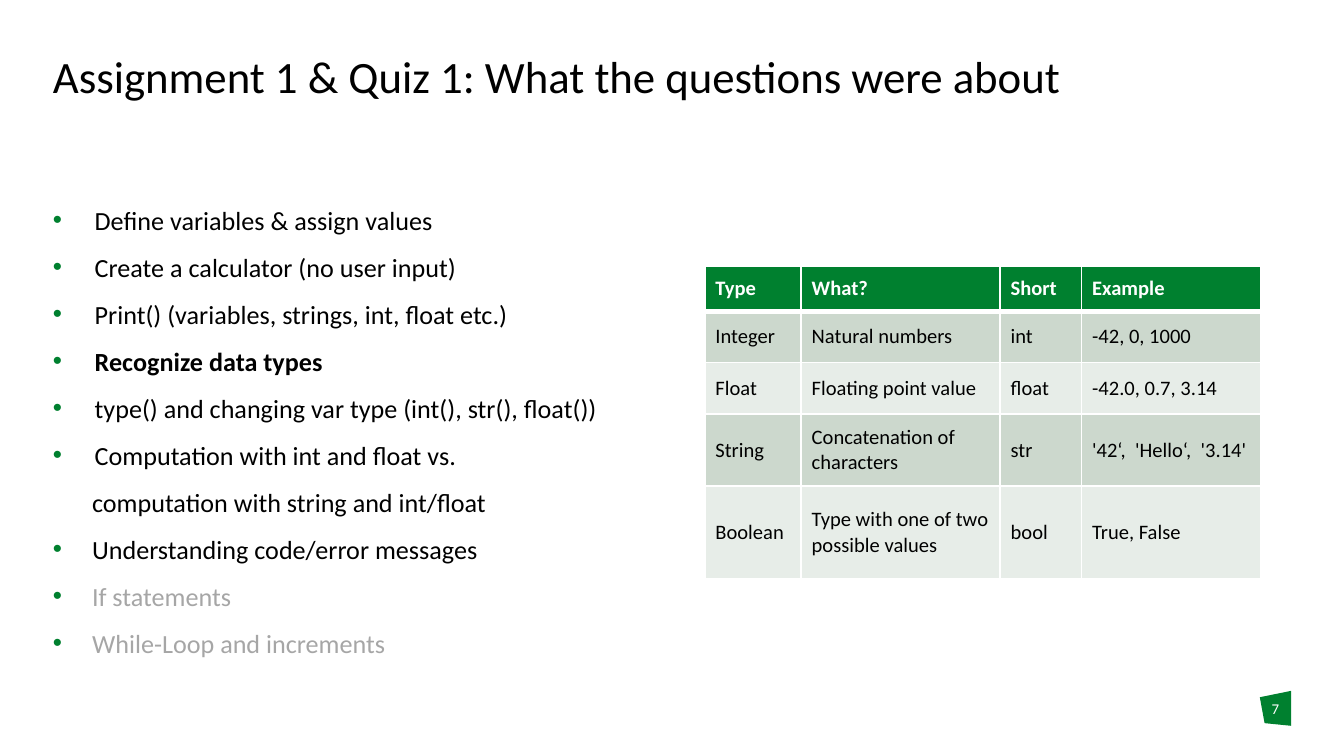
from dataclasses import dataclass

from lxml import etree
from pptx import Presentation
from pptx.dml.color import RGBColor
from pptx.enum.text import MSO_ANCHOR, MSO_AUTO_SIZE, PP_ALIGN
from pptx.oxml.ns import qn
from pptx.util import Cm, Pt

TOP, MIDDLE = MSO_ANCHOR.TOP, MSO_ANCHOR.MIDDLE
LEFT, CENTER = PP_ALIGN.LEFT, PP_ALIGN.CENTER
NO_FIT = MSO_AUTO_SIZE.NONE


@dataclass(frozen=True)
class Theme:
    font: str = "Calibri"
    green: str = "00802F"
    black: str = "000000"
    white: str = "FFFFFF"
    grey: str = "A6A6A6"
    band_dark: str = "CCD8CD"
    band_light: str = "E7EDE8"
    title: int = 24
    body: int = 14
    table: int = 11
    number: int = 8


THEME = Theme()

WIDE, NARROW = 0.79, 0.74
TOPICS = [
    ("Define variables & assign values", WIDE, True),
    ("Create a calculator (no user input)", WIDE, True),
    ("Print() (variables, strings, int, float etc.)", WIDE, True),
    ("Recognize data types", WIDE, True),
    ("type() and changing var type (int(), str(), float())", WIDE, True),
    ("Computation with int and float vs.", WIDE, True),
    ("computation with string and int/float", NARROW, False),
    ("Understanding code/error messages", NARROW, True),
    ("If statements", NARROW, True),
    ("While-Loop and increments", NARROW, True),
]
CURRENT_TOPIC = "Recognize data types"
OPEN_TOPICS = ("If statements", "While-Loop and increments")

DATA_TYPES = [
    ("Type", "What?", "Short", "Example"),
    ("Integer", "Natural numbers", "int", "-42, 0, 1000"),
    ("Float", "Floating point value", "float", "-42.0, 0.7, 3.14"),
    ("String", "Concatenation of characters", "str", "'42‘,  'Hello‘,  '3.14'"),
    ("Boolean", "Type with one of two possible values", "bool", "True, False"),
]
COL_WIDTHS = (1.82, 3.76, 1.54, 3.38)
ROW_HEIGHTS = (0.84, 0.97, 0.97, 1.37, 1.75)


def rgb(color):
    return RGBColor.from_string(color)


def style_runs(p, size, color, bold=False):
    for r in p.runs:
        r.font.name = THEME.font
        r.font.size = Pt(size)
        r.font.bold = bold
        r.font.color.rgb = rgb(color)


def setup_frame(tf):
    tf.word_wrap = True
    tf.auto_size = NO_FIT
    tf.vertical_anchor = TOP
    tf.margin_left = tf.margin_top = tf.margin_right = tf.margin_bottom = 0


def add_textbox(s, left, top, width, height):
    tf = s.shapes.add_textbox(Cm(left), Cm(top), Cm(width), Cm(height)).text_frame
    setup_frame(tf)
    return tf


def set_title(s, text):
    sp = s.shapes.title
    sp.left, sp.top, sp.width, sp.height = Cm(1), Cm(1.04), Cm(23.42), Cm(1.7)
    tf = sp.text_frame
    tf.text = text
    setup_frame(tf)
    p = tf.paragraphs[0]
    p.alignment = LEFT
    p.line_spacing = 0.9
    style_runs(p, THEME.title, THEME.black)


def set_indent(p, margin, bullet):
    pPr = p._p.get_or_add_pPr()
    pPr.set("marL", str(Cm(margin)))
    pPr.set("indent", str(-Cm(margin) if bullet else 0))
    if bullet:
        buClr = etree.SubElement(pPr, qn("a:buClr"))
        etree.SubElement(buClr, qn("a:srgbClr"), val=THEME.green)
        etree.SubElement(pPr, qn("a:buFont"), typeface="Arial")
        etree.SubElement(pPr, qn("a:buChar"), char="•")


def add_topics(s):
    tf = add_textbox(s, 1, 3.56, 11.46, 8.89)
    tf.text = "\n".join(text for text, _, _ in TOPICS)
    for p, (text, margin, bullet) in zip(tf.paragraphs, TOPICS):
        set_indent(p, margin, bullet)
        p.line_spacing = 1.5
        color = THEME.grey if text in OPEN_TOPICS else THEME.black
        style_runs(p, THEME.body, color, text == CURRENT_TOPIC)


def set_borders(cell, top, bottom):
    tcPr = cell._tc.get_or_add_tcPr()
    for side, width in (("L", 1), ("R", 1), ("T", top), ("B", bottom)):
        ln = etree.SubElement(tcPr, qn(f"a:ln{side}"), w=str(Pt(width)))
        fill = etree.SubElement(ln, qn("a:solidFill"))
        etree.SubElement(fill, qn("a:srgbClr"), val=THEME.white)


def format_cell(cell, text, row):
    header = row == 0
    band = THEME.band_dark if row % 2 else THEME.band_light
    set_borders(cell, 3 if row == 1 else 1, 3 if header else 1)
    cell.fill.solid()
    cell.fill.fore_color.rgb = rgb(THEME.green if header else band)
    cell.vertical_anchor = MIDDLE
    cell.margin_left = cell.margin_right = Cm(0.2)
    cell.margin_top = cell.margin_bottom = Cm(0.1)
    cell.text_frame.text = text
    color = THEME.white if header else THEME.black
    style_runs(cell.text_frame.paragraphs[0], THEME.table, color, header)


def add_type_table(s):
    table = s.shapes.add_table(
        len(DATA_TYPES), len(COL_WIDTHS), Cm(13.32), Cm(5.04),
        Cm(sum(COL_WIDTHS)), Cm(sum(ROW_HEIGHTS)),
    ).table
    for column, width in zip(table.columns, COL_WIDTHS):
        column.width = Cm(width)
    for i, (height, texts) in enumerate(zip(ROW_HEIGHTS, DATA_TYPES)):
        table.rows[i].height = Cm(height)
        for j, text in enumerate(texts):
            format_cell(table.cell(i, j), text, i)


def add_page_number(s, number):
    corners = [(23.81, 13.18), (24.4, 13.06), (24.4, 13.72), (23.9, 13.67)]
    start, *others = [(Cm(x), Cm(y)) for x, y in corners]
    builder = s.shapes.build_freeform(*start)
    builder.add_line_segments(others, close=True)
    badge = builder.convert_to_shape()
    badge.shadow.inherit = False
    badge.fill.solid()
    badge.fill.fore_color.rgb = rgb(THEME.green)
    badge.line.fill.background()

    tf = add_textbox(s, 23.8, 13.23, 0.61, 0.76)
    tf.text = number
    p = tf.paragraphs[0]
    p.alignment = CENTER
    style_runs(p, THEME.number, THEME.white)


def main():
    prs = Presentation()
    prs.slide_width, prs.slide_height = Cm(25.4), Cm(14.29)
    s = prs.slides.add_slide(prs.slide_layouts[5])
    set_title(s, "Assignment 1 & Quiz 1: What the questions were about")
    add_page_number(s, "7")
    add_topics(s)
    add_type_table(s)
    prs.save("out.pptx")


if __name__ == "__main__":
    main()
